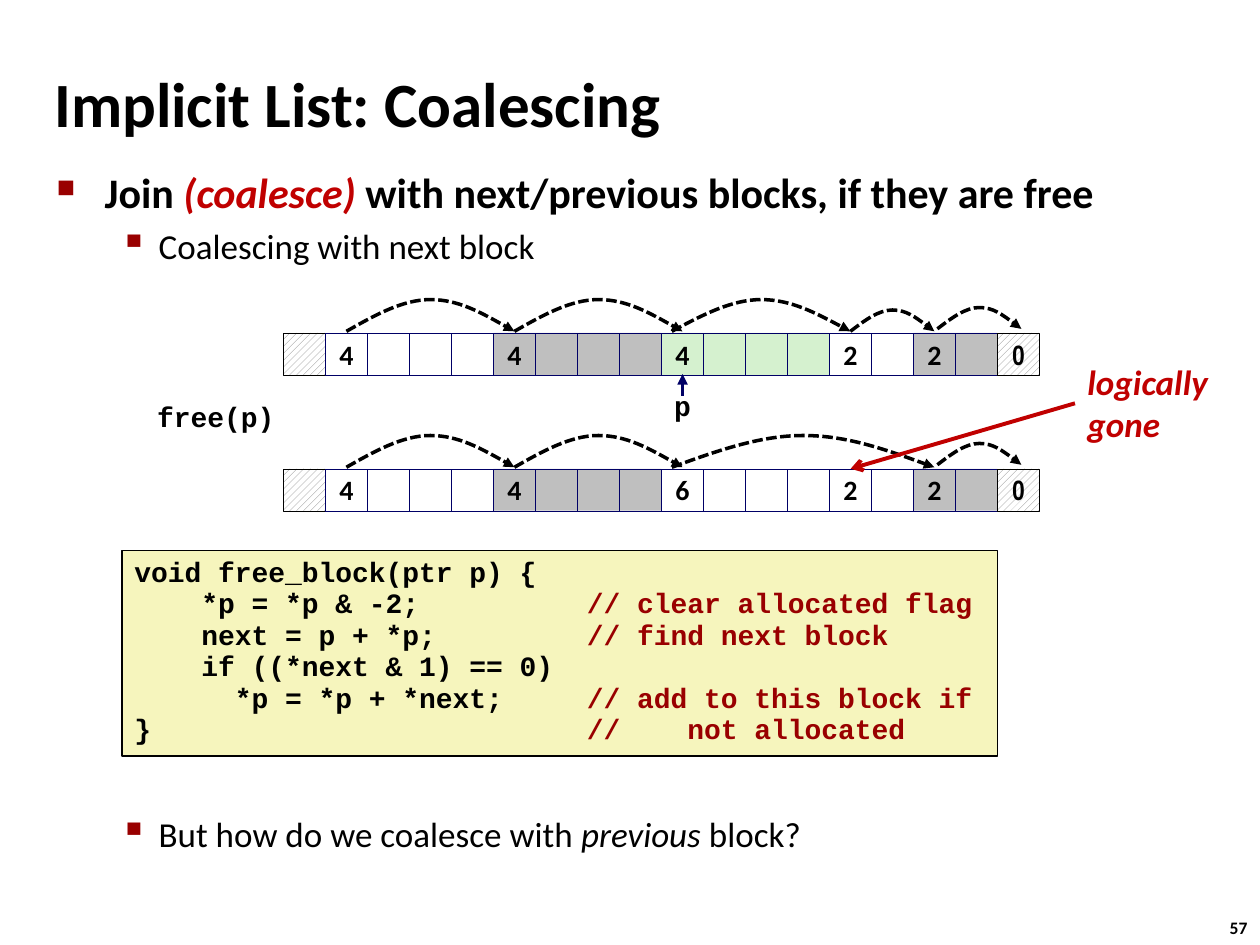
from dataclasses import dataclass

from lxml.etree import SubElement
from pptx import Presentation
from pptx.dml.color import RGBColor as RGB
from pptx.enum.dml import MSO_LINE as DASH, MSO_PATTERN as PATTERN
from pptx.enum.shapes import MSO_CONNECTOR as CONNECTOR, MSO_SHAPE as SHAPE
from pptx.enum.text import MSO_ANCHOR as ANCHOR, PP_ALIGN as ALIGN
from pptx.oxml.ns import qn
from pptx.util import Cm, Pt


@dataclass(frozen=True)
class Theme:
    black: str = "000000"
    white: str = "FFFFFF"
    grey: str = "BFBFBF"
    green: str = "D5F1CF"
    hatch: str = "808080"
    navy: str = "000066"
    red: str = "C00000"
    dark_red: str = "990000"
    code_fill: str = "F6F5BD"
    text_font: str = "Calibri"
    code_font: str = "Courier New"
    narrow_font: str = "Arial Narrow"
    title_size: int = 36
    head_size: int = 24
    body_size: int = 20
    label_size: int = 16
    number_size: int = 10


theme = Theme()


def add_span(para, text, size, color=theme.black, font=theme.text_font, bold=True, italic=False):
    span = para.add_run()
    span.text = text
    span.font.size = Pt(size)
    span.font.name = font
    span.font.bold = bold
    span.font.italic = italic
    span.font.color.rgb = RGB.from_string(color)


def style_arrow(arrow, color, width, head="triangle"):
    arrow.line.color.rgb = RGB.from_string(color)
    arrow.line.width = Pt(width)
    SubElement(arrow.line._get_or_add_ln(), qn("a:tailEnd"), type=head)
    SubElement(arrow.element.spPr, qn("a:effectLst"))


deck = Presentation()
deck.slide_width, deck.slide_height = Cm(25.4), Cm(19.05)
page = deck.slides.add_slide(deck.slide_layouts[5])

# Title
title = page.shapes.title
title.left, title.top, title.width, title.height = Cm(0.84), Cm(1.27), Cm(18.8), Cm(1.6)
title.text_frame.vertical_anchor = ANCHOR.MIDDLE
para = title.text_frame.paragraphs[0]
para.alignment = ALIGN.LEFT
add_span(para, "Implicit List: Coalescing", theme.title_size)

# Bullets: level and spans (text, colour, italic), grouped by text box top
bullet_boxes = [
    (3.4, 2.2, [
        (0, [("Join ", theme.black, False), ("(coalesce) ", theme.red, True),
             ("with next/previous blocks, if they are free", theme.black, False)]),
        (1, [("Coalescing with next block", theme.black, False)]),
    ]),
    (16.36, 1.1, [
        (1, [("But how do we coalesce with ", theme.black, False),
             ("previous", theme.black, True), (" block?", theme.black, False)]),
    ]),
]
# Per level: bullet, bullet size, left margin, hanging indent, line spacing, text size
levels = [("■", "60000", 0.97, 0.97, 0.83, theme.head_size),
          ("▪", "110000", 2.06, 0.79, 0.88, theme.body_size)]
for top, height, bullets in bullet_boxes:
    frame = page.shapes.add_textbox(Cm(0.89), Cm(top), Cm(23.1), Cm(height)).text_frame
    frame.word_wrap = True
    for index, (level, spans) in enumerate(bullets):
        mark, mark_size, margin, hanging, spacing, size = levels[level]
        para = frame.add_paragraph() if index else frame.paragraphs[0]
        para.level = level
        props = para._p.get_or_add_pPr()
        props.set("marL", str(Cm(margin)))
        props.set("indent", str(-Cm(hanging)))
        SubElement(SubElement(props, qn("a:buClr")), qn("a:srgbClr"), val=theme.dark_red)
        SubElement(props, qn("a:buSzPct"), val=mark_size)
        SubElement(props, qn("a:buChar"), char=mark)
        para.line_spacing = spacing
        if index:
            para.space_before = Pt(7.5)
        for text, color, italic in spans:
            add_span(para, text, size, color, bold=level == 0, italic=italic)

# Code listing
code_lines = [
    ("void free_block(ptr p) {", ""),
    ("    *p = *p & -2;", "// clear allocated flag"),
    ("    next = p + *p;", "// find next block"),
    ("    if ((*next & 1) == 0)", ""),
    ("      *p = *p + *next;", "// add to this block if"),
    ("}", "//    not allocated"),
]
COMMENT_COLUMN = 27
code_box = page.shapes.add_shape(SHAPE.RECTANGLE, Cm(2.46), Cm(11.1), Cm(17.65), Cm(4.14))
code_box.shadow.inherit = False
code_box.fill.solid()
code_box.fill.fore_color.rgb = RGB.from_string(theme.code_fill)
code_box.line.color.rgb = RGB.from_string(theme.black)
code_box.line.width = Pt(1)
frame = code_box.text_frame
frame.word_wrap = True
frame.vertical_anchor = ANCHOR.TOP
for index, (code, comment) in enumerate(code_lines):
    para = frame.add_paragraph() if index else frame.paragraphs[0]
    para.alignment = ALIGN.LEFT
    para.line_spacing = 0.94
    code_text = code.ljust(COMMENT_COLUMN) if comment else code
    add_span(para, code_text, theme.label_size, font=theme.code_font)
    if comment:
        add_span(para, comment, theme.label_size, theme.dark_red, theme.code_font)

# Heap rows: blocks as (words, header, fill), arcs as (from cell, to cell, lift)
CELL = 2.54 / 3
HEAP_LEFT = 6.56
EDGE = "edge"
last_arc = (14.07, 16.07, 0.05)
heap_rows = [
    (6.71,
     [(1, "", EDGE), (4, "4", theme.white), (4, "4", theme.grey), (4, "4", theme.green),
      (2, "2", theme.white), (2, "2", theme.grey), (1, "0", EDGE)],
     [(0, 4, 0), (4, 8, 0), (7.75, 12, 0), (12, 14, 0), last_arc]),
    (9.45,
     [(1, "", EDGE), (4, "4", theme.white), (4, "4", theme.grey), (4, "6", theme.white),
      (2, "2", theme.white), (2, "2", theme.grey), (1, "0", EDGE)],
     [(0, 4, 0), (4, 8, 0), (7.75, 14, 0), last_arc]),
]
ARC_PROFILE = (0, 0.5, 1, 1, 1, 0.5, 0)
for row_top, blocks, arcs in heap_rows:
    words = [(header if word == 0 else "", fill)
             for count, header, fill in blocks for word in range(count)]
    for index, (label, fill) in enumerate(words, start=-1):
        cell = page.shapes.add_shape(SHAPE.RECTANGLE, Cm(HEAP_LEFT + index * CELL), Cm(row_top),
                                     Cm(CELL), Cm(CELL))
        cell.shadow.inherit = False
        is_edge = fill == EDGE
        if is_edge:
            cell.fill.patterned()
            cell.fill.pattern = PATTERN.WIDE_UPWARD_DIAGONAL
            cell.fill.fore_color.rgb = RGB.from_string(theme.hatch)
            cell.fill.back_color.rgb = RGB.from_string(theme.white)
        else:
            cell.fill.solid()
            cell.fill.fore_color.rgb = RGB.from_string(fill)
        cell.line.color.rgb = RGB.from_string(theme.black if is_edge else theme.navy)
        cell.line.width = Pt(0.25)
        if label:
            cell.text_frame.word_wrap = False
            cell.text_frame.vertical_anchor = ANCHOR.MIDDLE
            para = cell.text_frame.paragraphs[0]
            para.alignment = ALIGN.CENTER
            add_span(para, label, theme.label_size,
                     font=theme.narrow_font if is_edge else theme.text_font)

    for start, end, lift in arcs:
        rise = 0.64 if end - start > 2 else 0.43
        points = [(Cm(HEAP_LEFT + (start + 0.5 + (end - start) * step / 6) * CELL),
                   Cm(row_top - 0.03 - lift - rise * share))
                  for step, share in enumerate(ARC_PROFILE)]
        builder = page.shapes.build_freeform(*points[0])
        builder.add_line_segments(points[1:], close=False)
        arc = builder.convert_to_shape()
        # Every three points become one Bézier segment
        segments = list(arc.element.iter(qn("a:lnTo")))
        for first in range(0, len(segments), 3):
            curve = SubElement(segments[first].getparent(), qn("a:cubicBezTo"))
            for segment in segments[first:first + 3]:
                curve.append(segment[0])
                segment.getparent().remove(segment)
        arc.fill.background()
        arc.line.dash_style = DASH.SQUARE_DOT
        style_arrow(arc, theme.black, 2)

# Pointer arrows
for x1, y1, x2, y2, color, width, head in [
    (13.76, 7.98, 13.76, 7.54, theme.navy, 2, "triangle"),
    (21.67, 8.13, 17.15, 9.45, theme.red, 2.25, "arrow"),
]:
    pointer = page.shapes.add_connector(CONNECTOR.STRAIGHT, Cm(x1), Cm(y1), Cm(x2), Cm(y2))
    style_arrow(pointer, color, width, head)

# Labels and page number
for left, top, width, height, lines, size, color, font, italic, spacing in [
    (2.92, 7.98, 2.9, 0.91, ["free(p)"], theme.label_size, theme.black, theme.code_font, False, 0.94),
    (13.34, 7.77, 0.84, 0.91, ["p"], theme.label_size, theme.black, theme.code_font, False, 0.94),
    (21.67, 7.14, 2.95, 1.96, ["logically", "gone"], theme.body_size, theme.red, theme.text_font, True, 1.0),
    (24.54, 18.36, 0.94, 0.69, ["57"], theme.number_size, theme.black, theme.text_font, False, 1.0),
]:
    frame = page.shapes.add_textbox(Cm(left), Cm(top), Cm(width), Cm(height)).text_frame
    frame.word_wrap = False
    for index, line in enumerate(lines):
        para = frame.add_paragraph() if index else frame.paragraphs[0]
        para.line_spacing = spacing
        add_span(para, line, size, color, font, italic=italic)

deck.save("out.pptx")
